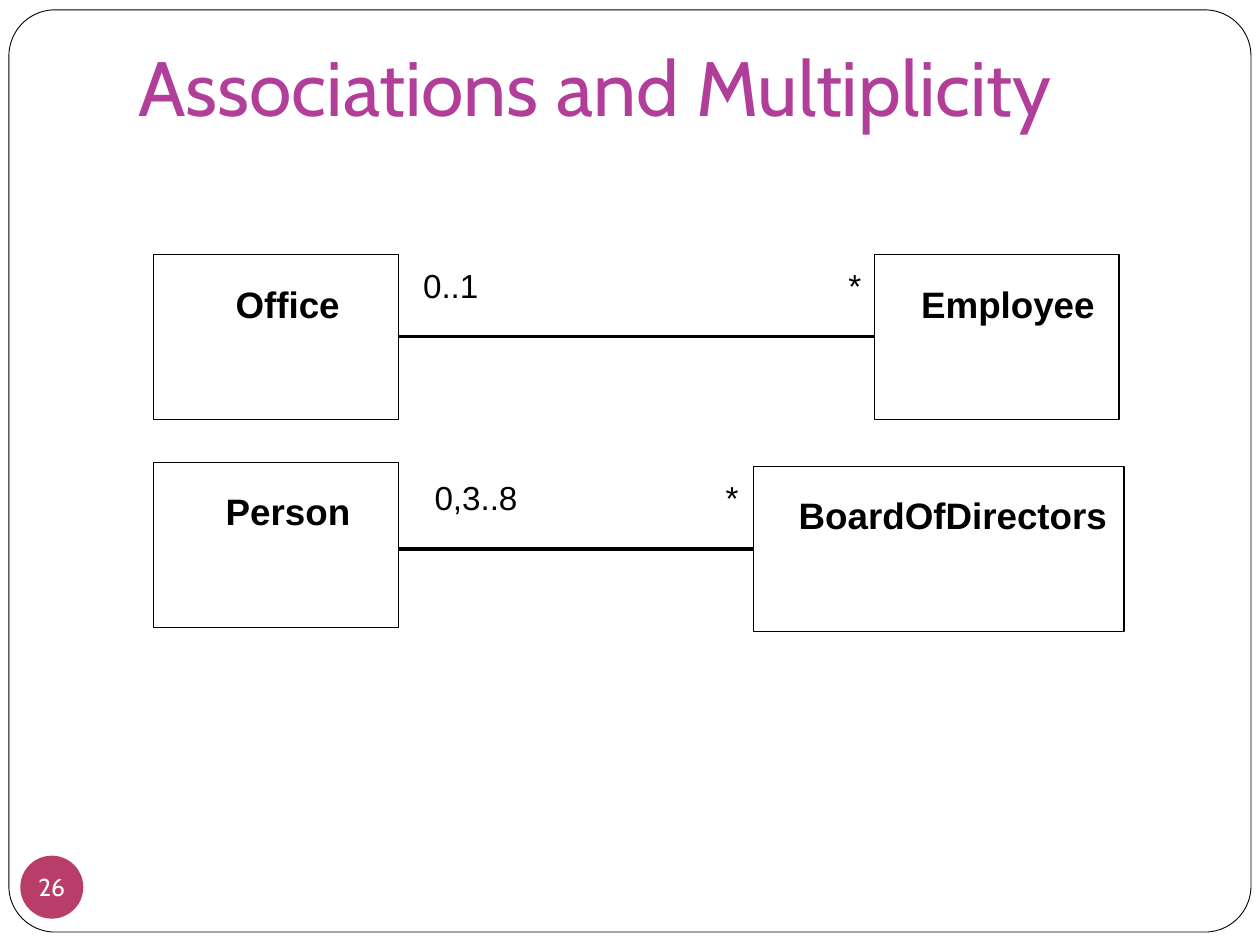
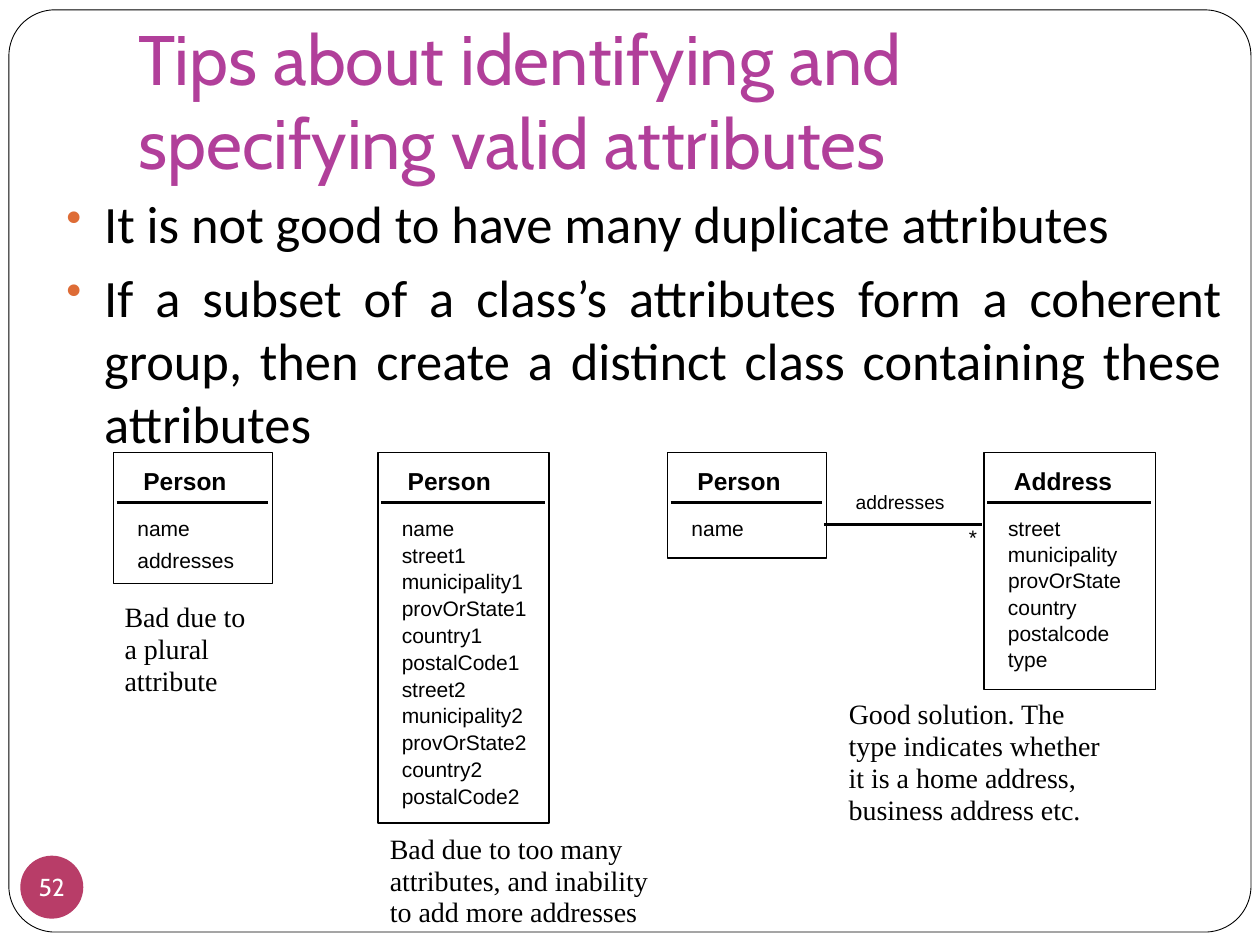
"""Builds two slides on class diagrams: multiplicity and valid attributes."""
from lxml import etree
from pptx import Presentation
from pptx import util as u
from pptx.dml.color import RGBColor
from pptx.enum import shapes, text
from pptx.oxml.ns import qn

BLACK, WHITE, PURPLE, CRIMSON, ORANGE = "000000", "FFFFFF", "B13F9A", "B83D68", "DE6C36"
TITLE_FONT, BODY_FONT, DIAGRAM_FONT, NOTE_FONT = "Cabin", "Calibri", "Arial", "Times New Roman"

MULTIPLICITY = {"title": "Associations and Multiplicity", "size": 44, "top": -0.28, "number": "26"}
ATTRIBUTES = {"title": "Tips about identifying and specifying valid attributes",
              "size": 40, "top": 0.76, "number": "52"}

ENTITY_HEIGHT = 3.33
ENTITIES = [
    ("Office", 3.1, 5.13, 4.93, 1.65),
    ("Employee", 17.63, 5.13, 4.93, 0.94),
    ("Person", 3.1, 9.32, 4.93, 1.45),
    ("BoardOfDirectors", 15.19, 9.4, 7.47, 0.91),
]
ASSOCIATIONS = [
    (8.03, 17.63, 6.78, [("0..1", 8.53), ("*", 17.1)]),
    (8.03, 15.19, 11.07, [("0,3..8", 8.76), ("*", 14.63)]),
]

TIPS = [
    "It is not good to have many duplicate attributes",
    "If a subset of a class’s attributes form a coherent group, "
    "then create a distinct class containing these attributes",
]
ADDRESS_PARTS = ["street", "municipality", "provOrState", "country", "postalCode"]
NUMBERED_PARTS = [part + number for number in "12" for part in ADDRESS_PARTS]
CLASS_TOP = 9.12
CLASSES = [
    ("Person", 2.29, 3.2, 2.64, 0.64, ["name", "addresses"]),
    ("Person", 7.62, 3.45, 7.47, 0.54, ["name"] + NUMBERED_PARTS),
    ("Person", 13.46, 3.2, 2.13, 0.54, ["name"]),
    ("Address", 19.84, 3.45, 4.78, 0.53,
     ["street", "municipality", "provOrState", "country", "postalcode", "type"]),
]
NOTES = [
    (2.51, 12.09, ["Bad due to", "a plural", "attribute"]),
    (7.86, 16.76, ["Bad due to too many", "attributes, and inability", "to add more addresses"]),
    (17.11, 14.05, ["Good solution. The", "type indicates whether",
                    "it is a home address,", "business address etc."]),
]


def color(value):
    return RGBColor.from_string(value)


def format_runs(paragraph, font, size, ink=BLACK, bold=False):
    for run in paragraph.runs:
        run.font.name, run.font.size, run.font.bold = font, u.Pt(size), bold
        run.font.color.rgb = color(ink)


def add_shape(slide, kind, left, top, width, height, fill=None, line=None, weight=0):
    shape = slide.shapes.add_shape(kind, u.Cm(left), u.Cm(top), u.Cm(width), u.Cm(height))
    shape.shadow.inherit = False
    if fill:
        shape.fill.solid()
        shape.fill.fore_color.rgb = color(fill)
    else:
        shape.fill.background()
    if line:
        shape.line.color.rgb = color(line)
        shape.line.width = u.Pt(weight)
    else:
        shape.line.fill.background()
    return shape


def add_box(slide, left, top, width, height):
    return add_shape(slide, shapes.MSO_SHAPE.RECTANGLE, left, top, width, height, line=BLACK)


def add_line(slide, left, right, y):
    line = slide.shapes.add_connector(
        shapes.MSO_CONNECTOR.STRAIGHT, u.Cm(left), u.Cm(y), u.Cm(right), u.Cm(y))
    line.line.color.rgb = color(BLACK)
    line.line.width = u.Pt(0)
    etree.SubElement(line._element.spPr, qn("a:effectLst"))


def add_frame(slide, left, top, width, height, margins):
    box = slide.shapes.add_textbox(u.Cm(left), u.Cm(top), u.Cm(width), u.Cm(height))
    frame = box.text_frame
    frame.word_wrap = True
    frame.margin_left, frame.margin_top, frame.margin_right, frame.margin_bottom = map(u.Cm, margins)
    return frame


def label_width(words, size, font, bold):
    ems = sum(0.33 if letter in " .,*'fijlrt" else
              0.85 if letter in "mw" or letter.isupper() else 0.57 for letter in words)
    scale = 1.05 if bold else 0.92 if font == NOTE_FONT else 1
    return u.Pt(ems * size * scale).cm


def add_label(slide, words, left, top, size, font=DIAGRAM_FONT, bold=False):
    width = label_width(words, size, font, bold)
    frame = add_frame(slide, left, top, width, u.Pt(size * 1.2).cm, (0, 0, 0, 0))
    frame.text = words
    format_runs(frame.paragraphs[0], font, size, bold=bold)


def add_labels(slide, lines, left, top, pitch, size, font=DIAGRAM_FONT):
    for row, words in enumerate(lines):
        add_label(slide, words, left, top + row * pitch, size, font)


def add_base(presentation, heading):
    slide = presentation.slides.add_slide(presentation.slide_layouts[6])
    border = add_shape(slide, shapes.MSO_SHAPE.ROUNDED_RECTANGLE, 0.18, 0.2, 25.04, 18.59,
                       WHITE, BLACK, 0.5)
    border.adjustments[0] = 0.05
    disc = add_shape(slide, shapes.MSO_SHAPE.OVAL, 0.41, 17.25, 1.27, 1.27, CRIMSON)
    frame = disc.text_frame
    frame.margin_left = frame.margin_top = frame.margin_right = frame.margin_bottom = 0
    frame.word_wrap = False
    frame.vertical_anchor = text.MSO_ANCHOR.MIDDLE
    frame.text = heading["number"]
    frame.paragraphs[0].alignment = text.PP_ALIGN.CENTER
    format_runs(frame.paragraphs[0], TITLE_FONT, 14, WHITE)
    title = add_frame(slide, 2.54, heading["top"], 21.59, 3.18, (0.25, 0.13, 0.25, 0.25))
    title.vertical_anchor = text.MSO_ANCHOR.BOTTOM
    title.text = heading["title"]
    format_runs(title.paragraphs[0], TITLE_FONT, heading["size"], PURPLE)
    return slide


def add_bullet(paragraph):
    properties = paragraph._p.get_or_add_pPr()
    properties.set("marL", str(u.Cm(0.76)))
    properties.set("indent", str(-u.Cm(0.76)))
    bullet_color = etree.SubElement(properties, qn("a:buClr"))
    etree.SubElement(bullet_color, qn("a:srgbClr"), val=ORANGE)
    etree.SubElement(properties, qn("a:buSzPct"), val="85000")
    etree.SubElement(properties, qn("a:buChar"), char="•")


def add_tips(slide):
    frame = add_frame(slide, 1.09, 3.73, 23.8, 14.81, (0.25, 0.13, 0.25, 0.13))
    frame.text = "\n".join(TIPS)
    for paragraph in frame.paragraphs:
        paragraph.alignment = text.PP_ALIGN.JUSTIFY
        paragraph.space_before = u.Pt(5.8)
        add_bullet(paragraph)
        format_runs(paragraph, BODY_FONT, 30)


def build_multiplicity(presentation):
    slide = add_base(presentation, MULTIPLICITY)
    for name, left, top, width, indent in ENTITIES:
        add_box(slide, left, top, width, ENTITY_HEIGHT)
        add_label(slide, name, left + indent, top + 0.54, 21, bold=True)
    for start, end, y, ends in ASSOCIATIONS:
        add_line(slide, start, end, y)
        for multiplicity, left in ends:
            add_label(slide, multiplicity, left, y - 1.44, 19)


def build_attributes(presentation):
    slide = add_base(presentation, ATTRIBUTES)
    add_tips(slide)
    add_line(slide, 16.61, 19.79, 10.57)
    add_label(slide, "addresses", 17.25, 9.88, 11)
    add_label(slide, "*", 19.53, 10.57, 12)
    for name, left, width, height, pitch, attributes in CLASSES:
        add_box(slide, left, CLASS_TOP, width, height)
        add_line(slide, left + 0.06, left + width - 0.08, CLASS_TOP + 1.01)
        add_label(slide, name, left + 0.6, CLASS_TOP + 0.28, 14, bold=True)
        add_labels(slide, attributes, left + 0.48, CLASS_TOP + 1.27, pitch, 12)
    for left, top, lines in NOTES:
        add_labels(slide, lines, left, top, 0.64, 16, NOTE_FONT)


def main():
    presentation = Presentation()
    presentation.slide_width, presentation.slide_height = u.Cm(25.4), u.Cm(19.05)
    build_multiplicity(presentation)
    build_attributes(presentation)
    presentation.save("out.pptx")


if __name__ == "__main__":
    main()
